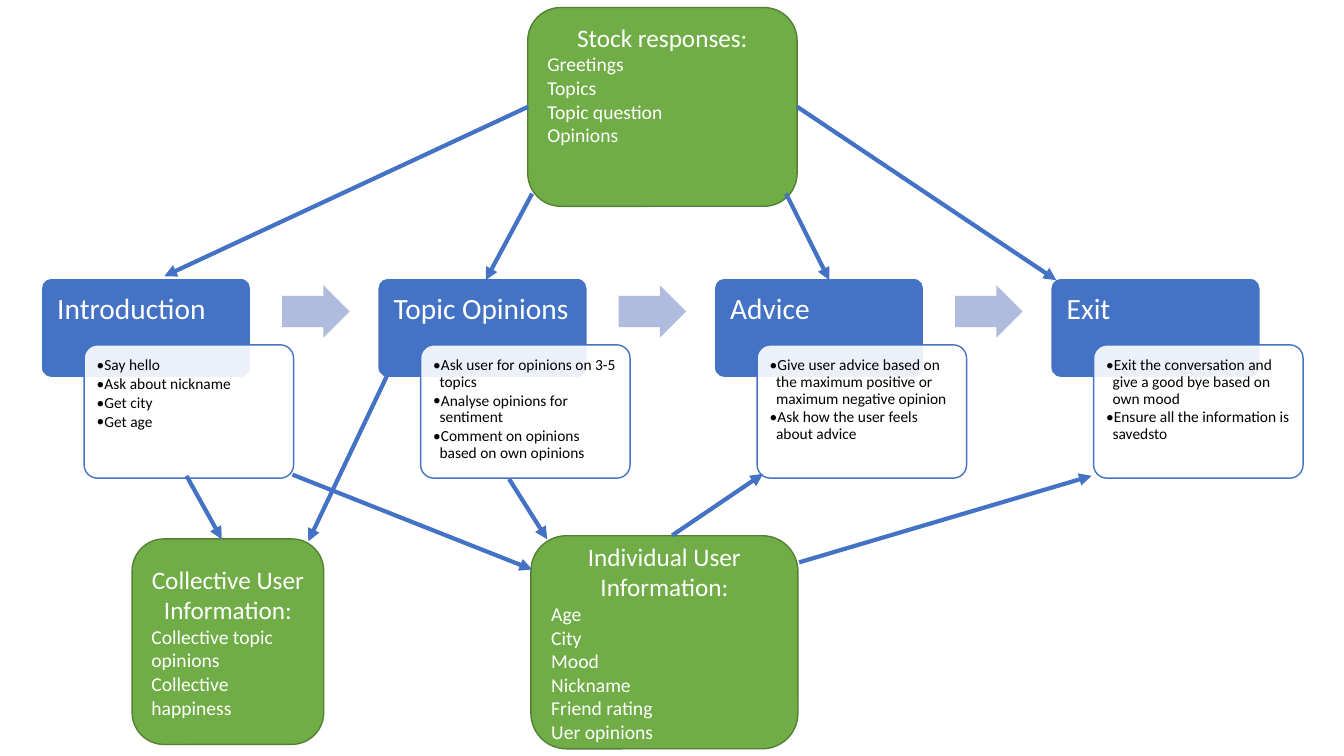
import dataclasses

import lxml.etree
import pptx
import pptx.dml.color
import pptx.enum.shapes
import pptx.enum.text
import pptx.oxml.ns
import pptx.shapes.autoshape
import pptx.slide
import pptx.text.text
import pptx.util

Cm = pptx.util.Cm
Pt = pptx.util.Pt
qn = pptx.oxml.ns.qn
SHAPES = pptx.enum.shapes.MSO_SHAPE
ALIGN = pptx.enum.text.PP_ALIGN
ANCHOR = pptx.enum.text.MSO_ANCHOR

FONT = "Calibri"
BLUE, PALE_BLUE = "4472C4", "B0BCDE"
GREEN, DARK_GREEN = "70AD47", "538035"
WHITE, BLACK = "FFFFFF", "000000"
STAGE_LEFT, STAGE_TOP, STAGE_STEP = 1.04, 7.01, 8.48


@dataclasses.dataclass(frozen=True)
class Stage:
    """A step of the conversation and its actions."""
    title: str
    actions: tuple[str, ...]


@dataclasses.dataclass(frozen=True)
class Store:
    """A green box of stored information; lengths in centimetres."""
    title: str
    items: tuple[str, ...]
    left: float
    top: float
    width: float
    height: float
    anchor: ANCHOR = ANCHOR.MIDDLE


@dataclasses.dataclass(frozen=True)
class Link:
    """An arrow between two points in centimetres."""
    start: tuple[float, float]
    end: tuple[float, float]


STAGES = (
    Stage("Introduction",
          ("Say hello", "Ask about nickname", "Get city", "Get age")),
    Stage("Topic Opinions",
          ("Ask user for opinions on 3-5 topics",
           "Analyse opinions for sentiment",
           "Comment on opinions based on own opinions")),
    Stage("Advice",
          ("Give user advice based on the maximum positive or "
           "maximum negative opinion",
           "Ask how the user feels about advice")),
    Stage("Exit",
          ("Exit the conversation and give a good bye based on own mood",
           "Ensure all the information is savedsto")),
)
STORES = (
    Store("Individual User Information:",
          ("Age", "City", "Mood", "Nickname", "Friend rating", "Uer opinions"),
          13.38, 13.5, 6.73, 5.37),
    Store("Collective User Information:",
          ("Collective topic opinions", "Collective happiness"),
          3.33, 13.58, 4.83, 5.18),
    Store("Stock responses:",
          ("Greetings", "Topics", "Topic question", "Opinions"),
          13.3, 0.19, 6.79, 5.01, ANCHOR.TOP),
)
LINKS = (
    Link((13.31, 2.69), (4.14, 6.96)),
    Link((7.37, 11.96), (13.41, 14.35)),
    Link((13.41, 4.88), (12.24, 7.06)),
    Link((19.81, 4.88), (20.9, 7.06)),
    Link((20.09, 2.69), (26.62, 7.06)),
    Link((16.94, 13.49), (19.23, 11.94)),
    Link((20.14, 14.17), (27.51, 11.99)),
    Link((12.83, 12.07), (13.79, 13.59)),
    Link((9.8, 9.37), (7.77, 13.64)),
    Link((4.7, 11.99), (5.59, 13.59)),
)


def color(value: str) -> pptx.dml.color.RGBColor:
    """Turn a hex string into a colour."""
    return pptx.dml.color.RGBColor.from_string(value)


def add_box(page: pptx.slide.Slide, kind: SHAPES, left: float, top: float,
            width: float, height: float, *, fill: str, line: str | None = None,
            corner: float | None = None, opacity: int = 100,
            inset: float | None = None,
            anchor: ANCHOR = ANCHOR.TOP) -> pptx.shapes.autoshape.Shape:
    """Add a filled preset shape, measured in centimetres."""
    box = page.shapes.add_shape(kind, Cm(left), Cm(top), Cm(width), Cm(height))
    box.shadow.inherit = False
    box.fill.solid()
    box.fill.fore_color.rgb = color(fill)
    if opacity < 100:
        tint = box._element.spPr.find(qn("a:solidFill")).find(qn("a:srgbClr"))
        lxml.etree.SubElement(tint, qn("a:alpha"), val=str(opacity * 1000))
    if line:
        box.line.color.rgb = color(line)
        box.line.width = Pt(1)
    else:
        box.line.fill.background()
    if corner is not None:
        box.adjustments[0] = corner
    frame = box.text_frame
    frame.word_wrap = True
    frame.vertical_anchor = anchor
    if inset is not None:
        frame.margin_left = frame.margin_right = Cm(inset)
        frame.margin_top = frame.margin_bottom = Cm(inset)
    return box


def add_text(box: pptx.shapes.autoshape.Shape, text: str, *, size: float,
             ink: str = WHITE, align: ALIGN = ALIGN.LEFT, spacing: float = 1,
             after: float = 0, bullet: bool = False) -> None:
    """Write one paragraph after any text already in the box."""
    frame = box.text_frame
    para = frame.add_paragraph() if frame.text else frame.paragraphs[0]
    para.alignment = align
    para.line_spacing = spacing
    para.space_after = Pt(after)
    if bullet:
        properties = para._p.get_or_add_pPr()
        properties.set("marL", str(Cm(0.16)))
        properties.set("indent", str(Cm(-0.16)))
        lxml.etree.SubElement(properties, qn("a:buFont"), typeface=FONT)
        lxml.etree.SubElement(properties, qn("a:buChar"), char="•")
    span = para.add_run()
    span.text = text
    span.font.name = FONT
    span.font.size = Pt(size)
    span.font.color.rgb = color(ink)


def add_stage(page: pptx.slide.Slide, stage: Stage, left: float) -> None:
    """Draw a stage heading and the card that overlaps it."""
    heading = add_box(page, SHAPES.ROUNDED_RECTANGLE, left, STAGE_TOP, 5.28,
                      2.51, fill=BLUE, line=WHITE, corner=0.1, inset=0.33)
    add_text(heading, stage.title, size=21, spacing=0.9)
    card = add_box(page, SHAPES.ROUNDED_RECTANGLE, left + 1.08,
                   STAGE_TOP + 1.68, 5.28, 3.36, fill=WHITE, line=BLUE,
                   corner=0.1, opacity=90, inset=0.22)
    for action in stage.actions:
        add_text(card, action, size=11, ink=BLACK, spacing=0.9, after=1.65,
                 bullet=True)


def add_store(page: pptx.slide.Slide, store: Store) -> None:
    """Draw a green box with a centred title above its items."""
    box = add_box(page, SHAPES.ROUNDED_RECTANGLE, store.left, store.top,
                  store.width, store.height, fill=GREEN, line=DARK_GREEN,
                  anchor=store.anchor)
    add_text(box, store.title, size=18, align=ALIGN.CENTER)
    for item in store.items:
        add_text(box, item, size=14)


def add_link(page: pptx.slide.Slide, link: Link) -> None:
    """Draw a straight arrow."""
    points = [Cm(value) for value in link.start + link.end]
    arrow = page.shapes.add_connector(
        pptx.enum.shapes.MSO_CONNECTOR.STRAIGHT, *points)
    arrow.line.color.rgb = color(BLUE)
    arrow.line.width = Pt(3)
    properties = arrow._element.spPr
    lxml.etree.SubElement(properties.find(qn("a:ln")), qn("a:tailEnd"),
                          type="triangle")
    lxml.etree.SubElement(properties, qn("a:effectLst"))


def main() -> None:
    """Build and save the conversation flow slide."""
    deck = pptx.Presentation()
    deck.slide_width, deck.slide_height = Cm(33.87), Cm(19.05)
    page = deck.slides.add_slide(deck.slide_layouts.get_by_name("Blank"))
    for index, stage in enumerate(STAGES):
        left = STAGE_LEFT + index * STAGE_STEP
        add_stage(page, stage, left)
        if index < len(STAGES) - 1:
            next_arrow = add_box(page, SHAPES.RIGHT_ARROW, left + 6.07,
                                 STAGE_TOP + 0.18, 1.7, 1.32, fill=PALE_BLUE)
            next_arrow.adjustments[0] = 0.6
    for store in STORES:
        add_store(page, store)
    for link in LINKS:
        add_link(page, link)
    deck.save("out.pptx")


main()
